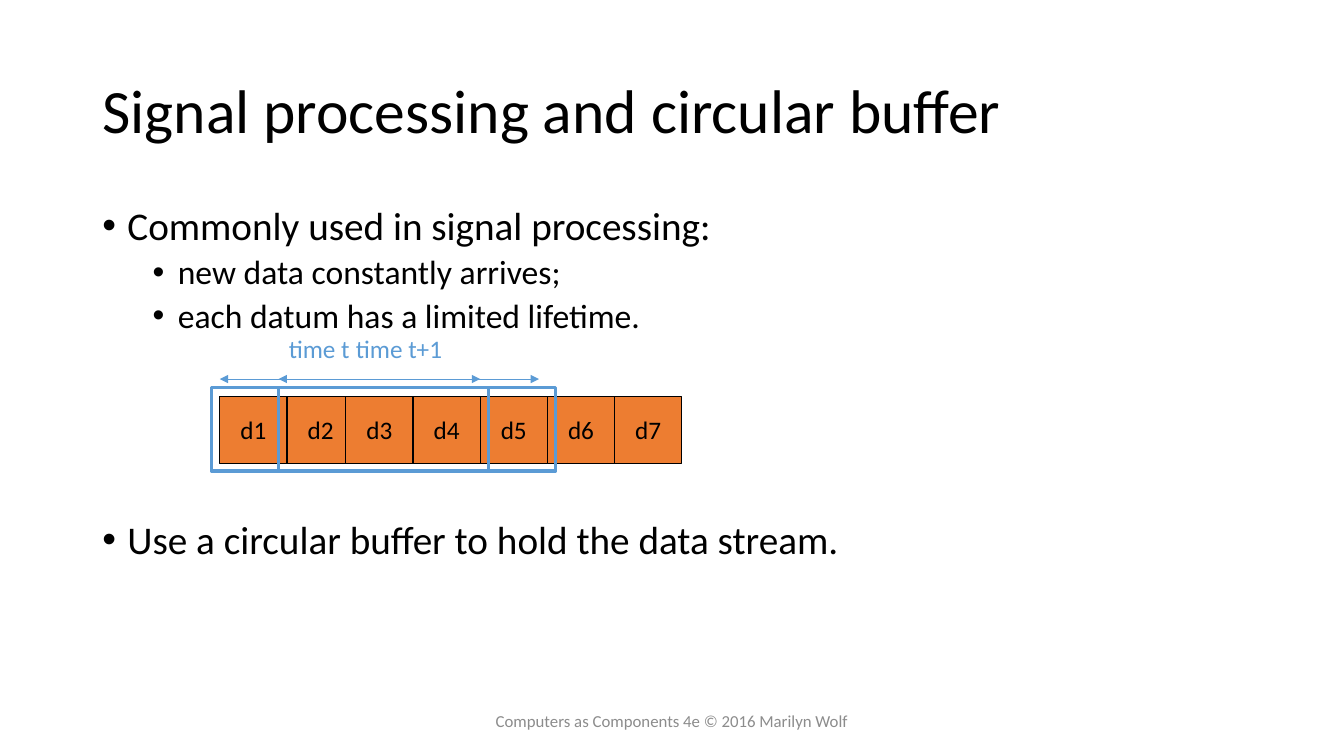
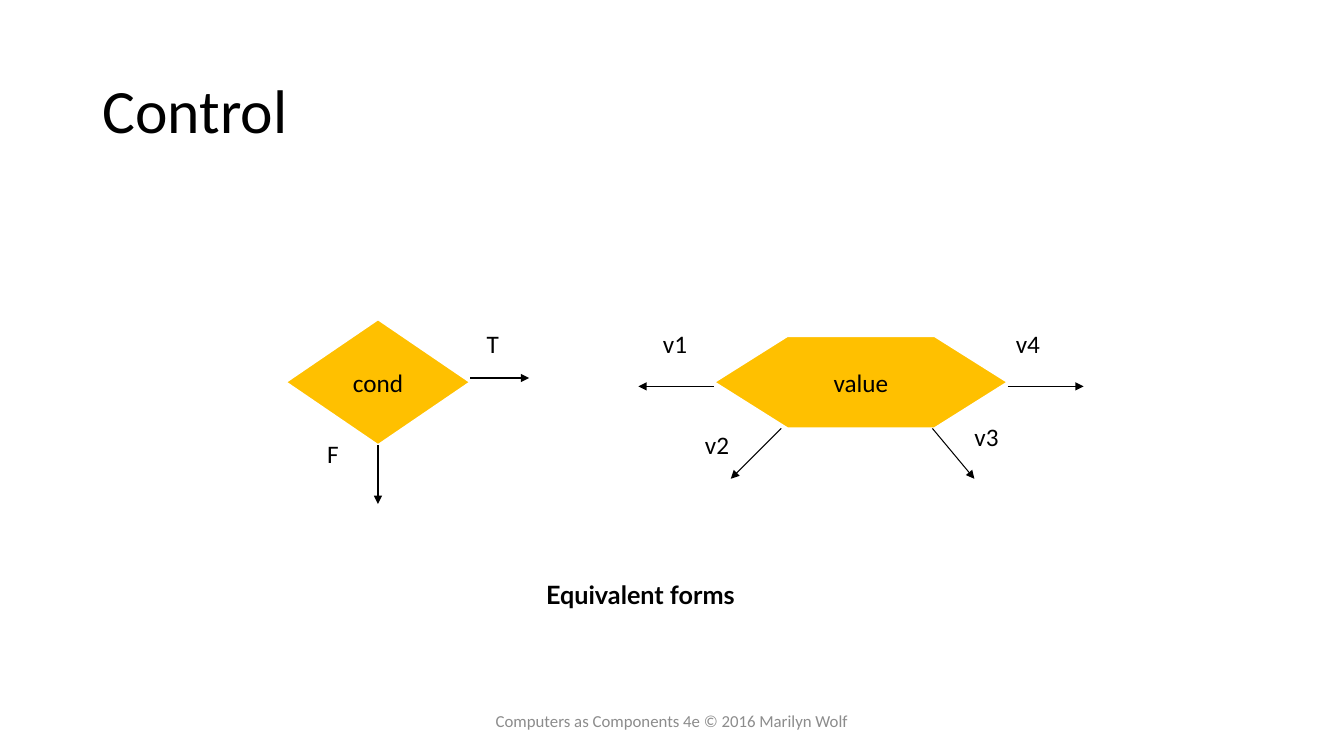
from lxml import etree
from pptx import Presentation
from pptx.dml.color import RGBColor
from pptx.enum.shapes import MSO_CONNECTOR, MSO_SHAPE
from pptx.enum.text import MSO_ANCHOR, MSO_AUTO_SIZE, PP_ALIGN
from pptx.oxml.ns import qn
from pptx.util import Pt

RECT, DIAMOND, HEXAGON = MSO_SHAPE.RECTANGLE, MSO_SHAPE.DIAMOND, MSO_SHAPE.HEXAGON
STRAIGHT = MSO_CONNECTOR.STRAIGHT
LEFT, CENTER = PP_ALIGN.LEFT, PP_ALIGN.CENTER
TOP, MIDDLE = MSO_ANCHOR.TOP, MSO_ANCHOR.MIDDLE
FIXED, GROW = MSO_AUTO_SIZE.NONE, MSO_AUTO_SIZE.SHAPE_TO_FIT_TEXT

BLACK = RGBColor(0x00, 0x00, 0x00)
WHITE = RGBColor(0xFF, 0xFF, 0xFF)
GRAY = RGBColor(0x8C, 0x8C, 0x8C)
BLUE = RGBColor(0x5B, 0x9B, 0xD5)
ORANGE = RGBColor(0xED, 0x7D, 0x31)
GOLD = RGBColor(0xFF, 0xC0, 0x00)

TITLE_ONLY = 5
TITLE_BOX = (66, 28.8, 828, 104.4)
FOOTER_BOX = (318, 500.5, 324, 28.75)
FOOTER = "Computers as Components 4e \u00a9 2016 Marilyn Wolf"
LABEL_H = 29

# Slide 1: bullets as (level, text, space before)
BUFFER_TITLE = "Signal processing and circular buffer"
BODY_BOX = (66, 144, 828, 342.7)
LEVELS = ({"size": 28, "left": 18}, {"size": 24, "left": 54})
BULLET_HANG = 18
BULLETS = [
    (0, "Commonly used in signal processing:", 10),
    (1, "new data constantly arrives;", 5),
    (1, "each datum has a limited lifetime.", 5),
    (0, "Use a circular buffer to hold the data stream.", 132),
]
DATA = ["d1", "d2", "d3", "d4", "d5", "d6", "d7"]
CELL, CELL_X, CELL_Y = 48, 157, 283
OVERLAP, OVERLAP_FROM = 6, 2
# Windows as (label, label left, label width, arrow left, frame left)
WINDOWS = [
    ("time t", 199.2, 58.3, 157, 151),
    ("time t+1", 247.2, 77, 199, 199),
]
WINDOW_LABEL_Y, ARROW_Y, ARROW_W = 234.7, 270.75, 186
FRAME_Y, FRAME_W, FRAME_H = 276.5, 198, 60

# Slide 2
CONTROL_TITLE = "Control"
NODES = [
    ("cond", DIAMOND, (204, 228, 132, 90), ()),
    ("value", HEXAGON, (510, 240, 210, 66), (0.795, 1.155)),
]
BRANCHES = [
    (336, 270, 378, 270),
    (270, 318, 270, 360),
    (720, 276, 774, 276),
    (510, 276, 456, 276),
    (558, 306, 522, 342),
    (666, 306, 696, 342),
]
# Labels as (text, left, top, width)
BRANCH_LABELS = [
    ("T", 340.5, 231, 23),
    ("F", 226.5, 309.5, 23),
    ("v1", 466.5, 231, 31.7),
    ("v2", 496.5, 303, 31.7),
    ("v3", 689, 297.5, 31.7),
    ("v4", 718.5, 231, 31.7),
]
CAPTION = ("Equivalent forms", 383, 410.5, 169)


def pts(*values):
    """Convert numbers to point lengths."""
    return [Pt(v) for v in values]


def assign(obj, **values):
    """Set each named attribute of an object."""
    for name, value in values.items():
        setattr(obj, name, value)


def write(p, text, size=18, color=BLACK, font="Calibri", bold=False):
    """Add one formatted run to a paragraph."""
    r = p.add_run()
    r.text = text
    assign(r.font, name=font, size=Pt(size), bold=bold)
    r.font.color.rgb = color


def add_text(shapes, text, box, align=LEFT, anchor=TOP, wrap=False, fit=GROW, **font):
    """Add a text box with one line of text."""
    tf = shapes.add_textbox(*pts(*box)).text_frame
    assign(tf, word_wrap=wrap, auto_size=fit, vertical_anchor=anchor)
    p = tf.paragraphs[0]
    p.alignment = align
    write(p, text, **font)


def add_box(shapes, kind, box, fill, line, width, text="", adjust=()):
    """Add a preset shape, optionally filled and labelled."""
    sp = shapes.add_shape(kind, *pts(*box))
    sp.shadow.inherit = False
    for i, value in enumerate(adjust):
        sp.adjustments[i] = value
    if fill is None:
        sp.fill.background()
    else:
        sp.fill.solid()
        sp.fill.fore_color.rgb = fill
    sp.line.color.rgb = line
    sp.line.width = Pt(width)
    if text:
        tf = sp.text_frame
        assign(tf, word_wrap=False, vertical_anchor=MIDDLE)
        tf.paragraphs[0].alignment = CENTER
        write(tf.paragraphs[0], text)


def add_arrow(shapes, ends, color, heads=("tailEnd",)):
    """Add a thin straight line with triangle heads."""
    line = shapes.add_connector(STRAIGHT, *pts(*ends))
    line.line.color.rgb = color
    line.line.width = Pt(0.75)
    ln = line.line._get_or_add_ln()
    for head in heads:
        etree.SubElement(ln, qn("a:" + head), type="triangle")
    etree.SubElement(line._element.spPr, qn("a:effectLst"))


def add_slide(prs, title):
    """Add a slide with the shared title and footer."""
    slide = prs.slides.add_slide(prs.slide_layouts[TITLE_ONLY])
    sp = slide.shapes.title
    assign(sp, **dict(zip(("left", "top", "width", "height"), pts(*TITLE_BOX))))
    tf = sp.text_frame
    assign(tf, word_wrap=True, auto_size=FIXED, vertical_anchor=MIDDLE)
    p = tf.paragraphs[0]
    assign(p, alignment=LEFT, line_spacing=0.9)
    write(p, title, size=44)
    add_text(slide.shapes, FOOTER, FOOTER_BOX, CENTER, MIDDLE, True, FIXED,
             size=12, color=GRAY)
    return slide


def add_bullets(shapes):
    """Add the two-level bullet list."""
    tf = shapes.add_textbox(*pts(*BODY_BOX)).text_frame
    tf.word_wrap = True
    for i, (level, text, before) in enumerate(BULLETS):
        p = tf.add_paragraph() if i else tf.paragraphs[0]
        assign(p, level=level, line_spacing=0.9, space_before=Pt(before))
        pPr = p._p.get_or_add_pPr()
        pPr.set("marL", str(Pt(LEVELS[level]["left"])))
        pPr.set("indent", str(-Pt(BULLET_HANG)))
        etree.SubElement(pPr, qn("a:buFont"), typeface="Arial")
        etree.SubElement(pPr, qn("a:buChar"), char="\u2022")
        write(p, text, size=LEVELS[level]["size"])


def build_buffer(prs):
    """Build the circular buffer slide."""
    shapes = add_slide(prs, BUFFER_TITLE).shapes
    add_bullets(shapes)
    for i, text in enumerate(DATA):
        x = CELL_X + i * CELL - (OVERLAP if i >= OVERLAP_FROM else 0)
        add_box(shapes, RECT, (x, CELL_Y, CELL, CELL), ORANGE, BLACK, 0.75, text)
    for text, label_x, label_w, arrow_x, frame_x in WINDOWS:
        window = shapes.add_group_shape().shapes
        add_arrow(window, (arrow_x, ARROW_Y, arrow_x + ARROW_W, ARROW_Y), BLUE,
                  ("headEnd", "tailEnd"))
        add_text(window, text, (label_x, WINDOW_LABEL_Y, label_w, LABEL_H), color=BLUE)
        add_box(window, RECT, (frame_x, FRAME_Y, FRAME_W, FRAME_H), None, BLUE, 2.25)


def build_control(prs):
    """Build the control node slide."""
    shapes = add_slide(prs, CONTROL_TITLE).shapes
    for text, kind, box, adjust in NODES:
        add_box(shapes, kind, box, GOLD, WHITE, 1.5, text, adjust)
    for ends in BRANCHES:
        add_arrow(shapes, ends, BLACK)
    for text, *place in BRANCH_LABELS:
        add_text(shapes, text, (*place, LABEL_H))
    text, *place = CAPTION
    add_text(shapes, text, (*place, LABEL_H), font="Lato", bold=True)


prs = Presentation()
assign(prs, slide_width=Pt(960), slide_height=Pt(540))
build_buffer(prs)
build_control(prs)
prs.save("out.pptx")
